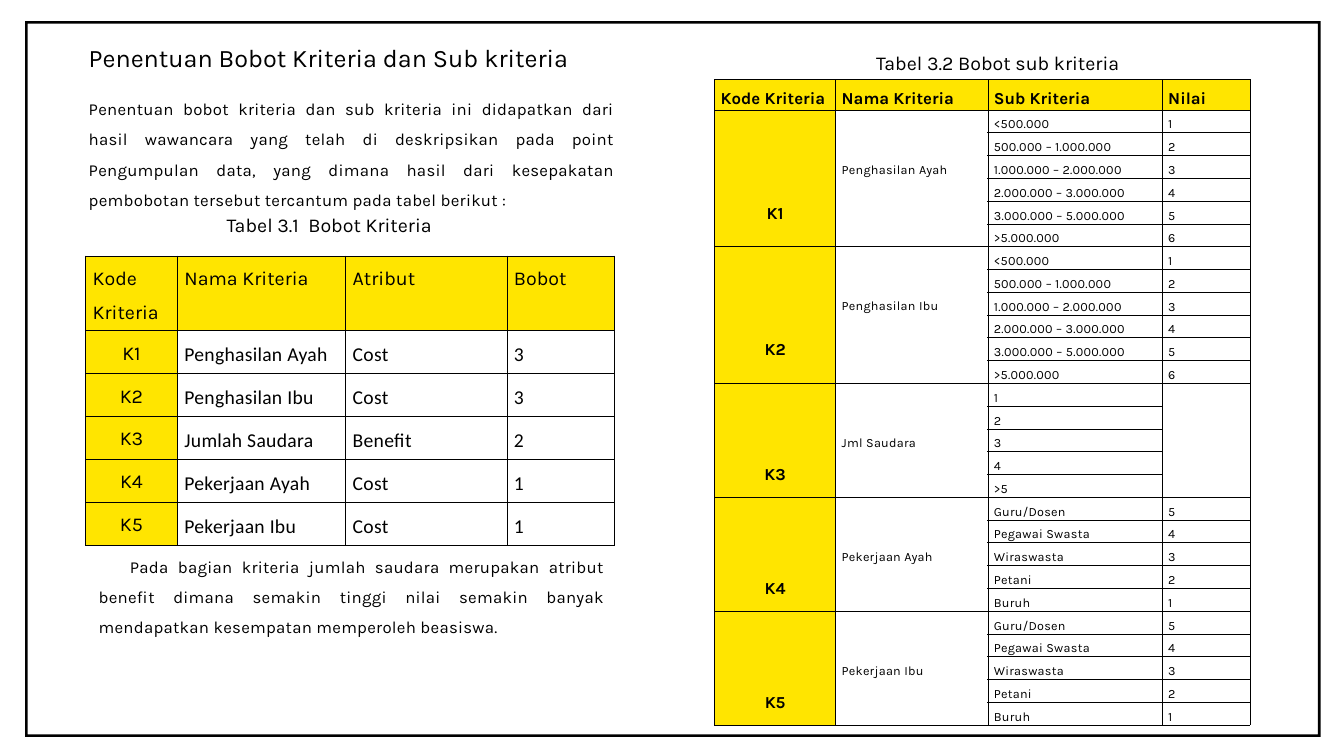
from dataclasses import dataclass

from lxml.etree import SubElement
from pptx import Presentation
from pptx.dml.color import RGBColor
from pptx.enum.shapes import MSO_SHAPE
from pptx.enum.text import MSO_ANCHOR as Anchor, MSO_AUTO_SIZE as Fit, PP_ALIGN as Align
from pptx.oxml.ns import qn
from pptx.util import Inches, Pt

WIDTH, HEIGHT = Inches(13.33), Inches(7.5)
COL, ROW = WIDTH / 80, HEIGHT / 45


@dataclass(frozen=True)
class Style:
    """Describe the look of one kind of run."""
    size: float
    font: str = "Karla"
    bold: bool = False
    track: int = 0


@dataclass(frozen=True)
class Theme:
    """Hold the colours and type of the slide."""
    ink: RGBColor = RGBColor(0, 0, 0)
    yellow: RGBColor = RGBColor(0xFF, 0xE5, 0x00)
    border: float = 0.5
    title: Style = Style(18)
    label: Style = Style(14)
    body: Style = Style(12, track=20)
    value: Style = Style(14, "Calibri", track=20)
    strong: Style = Style(12, bold=True)
    small: Style = Style(9, track=20)


THEME = Theme()

WEIGHTS = [
    ("K1", "Penghasilan Ayah", "Cost", "3"),
    ("K2", "Penghasilan Ibu", "Cost", "3"),
    ("K3", "Jumlah Saudara", "Benefit", "2"),
    ("K4", "Pekerjaan Ayah", "Cost", "1"),
    ("K5", "Pekerjaan Ibu", "Cost", "1"),
]
INCOMES = list(zip(
    ["<500.000", "500.000 – 1.000.000", "1.000.000 – 2.000.000",
     "2.000.000 – 3.000.000", "3.000.000 – 5.000.000", ">5.000.000"], "123456"))
SIBLINGS = [(count, "") for count in ("1", "2", "3", "4", ">5")]
JOBS = list(zip(["Guru/Dosen", "Pegawai Swasta", "Wiraswasta", "Petani", "Buruh"], "54321"))
GROUPS = [
    ("K1", "Penghasilan Ayah", INCOMES),
    ("K2", "Penghasilan Ibu", INCOMES),
    ("K3", "Jml Saudara", SIBLINGS),
    ("K4", "Pekerjaan Ayah", JOBS),
    ("K5", "Pekerjaan Ibu", JOBS),
]


def box(left, top, width, height):
    """Turn grid columns and rows into slide lengths."""
    return int(left * COL), int(top * ROW), int(width * COL), int(height * ROW)


def write(tf, text, style, align=Align.LEFT, spacing=None, after=None, indent=0):
    """Write one styled paragraph into a text frame."""
    p = tf.paragraphs[0]
    p.alignment = align
    if spacing:
        p.line_spacing = spacing
    if after:
        p.space_after = Pt(after)
    if indent:
        p._p.get_or_add_pPr().set("indent", str(int(indent * COL)))
    r = p.add_run()
    r.text = text
    font = r.font
    font.name, font.size, font.bold = style.font, Pt(style.size), style.bold
    font.color.rgb = THEME.ink
    if style.track:
        r._r.get_or_add_rPr().set("spc", str(style.track))


def add_title(s, at, text):
    """Place the slide title in its placeholder."""
    sp = s.shapes.title
    sp.left, sp.top, sp.width, sp.height = box(*at)
    tf = sp.text_frame
    tf.margin_left = tf.margin_right = tf.margin_top = tf.margin_bottom = 0
    tf.word_wrap, tf.auto_size, tf.vertical_anchor = True, Fit.NONE, Anchor.TOP
    write(tf, text, THEME.title)


def add_text(s, at, text, style, inset=True, wrap=True, anchor=Anchor.TOP, **layout):
    """Add a text box that grows with its text."""
    tf = s.shapes.add_textbox(*box(*at)).text_frame
    tf.word_wrap, tf.auto_size, tf.vertical_anchor = wrap, Fit.SHAPE_TO_FIT_TEXT, anchor
    if not inset:
        tf.margin_left = tf.margin_right = tf.margin_top = tf.margin_bottom = 0
    write(tf, text, style, **layout)


def add_frame(s, at, thickness):
    """Add the thin frame around the slide."""
    sp = s.shapes.add_shape(MSO_SHAPE.FRAME, *box(*at))
    sp.adjustments[0] = thickness / at[3]
    sp.shadow.inherit = False
    sp.fill.solid()
    sp.fill.fore_color.rgb = THEME.ink
    sp.line.fill.background()


def format_cell(cell, inset):
    """Give a cell its borders, insets and an empty fill."""
    cell.margin_left = cell.margin_right = int(inset * COL)
    cell.margin_top = cell.margin_bottom = 0
    tc_pr = cell._tc.get_or_add_tcPr()
    for side in ("a:lnL", "a:lnR", "a:lnT", "a:lnB"):
        ln = SubElement(tc_pr, qn(side), w=str(Pt(THEME.border)))
        fill = SubElement(ln, qn("a:solidFill"))
        SubElement(fill, qn("a:srgbClr"), val=str(THEME.ink))
    cell.fill.background()


def add_grid(s, left, top, cols, rows, inset):
    """Add a plain bordered table."""
    at = box(left, top, sum(cols), sum(rows))
    table = s.shapes.add_table(len(rows), len(cols), *at).table
    table.first_row = table.horz_banding = False
    for column, width in zip(table.columns, cols):
        column.width = int(width * COL)
    for row, height in zip(table.rows, rows):
        row.height = int(height * ROW)
    for cell in table.iter_cells():
        format_cell(cell, inset)
    return table


def fill_cell(cell, text, style, align=Align.JUSTIFY, marked=False, drop=0):
    """Write a cell, with an optional yellow fill and a drop from its top."""
    if marked:
        cell.fill.solid()
        cell.fill.fore_color.rgb = THEME.yellow
    cell.margin_top = int(drop * ROW)
    if text:
        write(cell.text_frame, text, style, align, spacing=1.5)


def fill_header(table, names, style):
    """Write the yellow heading row of a table."""
    for cell, name in zip(table.rows[0].cells, names):
        fill_cell(cell, name, style, marked=True)


def add_weights(s):
    """Add the table of criterion weights."""
    rows = [4.44] + [2.56] * len(WEIGHTS)
    table = add_grid(s, 5.1, 15.24, [5.46, 10.02, 9.6, 6.42], rows, 0.42)
    fill_header(table, ["Kode Kriteria", "Nama Kriteria", "Atribut", "Bobot"], THEME.label)
    for i, (code, *values) in enumerate(WEIGHTS, 1):
        fill_cell(table.cell(i, 0), code, THEME.label, Align.CENTER, marked=True)
        for j, value in enumerate(values, 1):
            fill_cell(table.cell(i, j), value, THEME.value)


def add_subcriteria(s):
    """Add the table of sub-criteria, merged by criterion."""
    count = sum(len(items) for _, _, items in GROUPS)
    rows = [1.8] + [1.35] * count
    table = add_grid(s, 42.54, 4.74, [7.2, 9.06, 10.38, 5.22], rows, 0.36)
    fill_header(table, ["Kode Kriteria", "Nama Kriteria", "Sub Kriteria", "Nilai"], THEME.strong)
    first = 1
    for code, name, items in GROUPS:
        last = first + len(items) - 1
        merged = (0, 1) if items is not SIBLINGS else (0, 1, 3)
        for j in merged:
            table.cell(first, j).merge(table.cell(last, j))
        head = table.cell(first, 0)
        head.vertical_anchor = Anchor.MIDDLE
        fill_cell(head, code, THEME.strong, Align.CENTER, marked=True, drop=3.6)
        fill_cell(table.cell(first, 1), name, THEME.small, drop=2.7)
        for i, (item, value) in enumerate(items, first):
            fill_cell(table.cell(i, 2), item, THEME.small)
            fill_cell(table.cell(i, 3), value, THEME.small)
        first = last + 1


def main():
    """Build and save the slide."""
    prs = Presentation()
    prs.slide_width, prs.slide_height = WIDTH, HEIGHT
    s = prs.slides.add_slide(prs.slide_layouts[5])
    add_title(s, (5.28, 2.52, 31.32, 2.4), "Penentuan Bobot Kriteria dan Sub kriteria")
    add_weights(s)
    add_text(s, (9.9, 12.36, 19.44, 2.04), "Tabel 3.1  Bobot Kriteria", THEME.label,
             anchor=Anchor.MIDDLE, indent=3)
    add_subcriteria(s)
    add_text(s, (51, 2.64, 16.8, 2.1), "Tabel 3.2 Bobot sub kriteria", THEME.label,
             wrap=False, align=Align.CENTER, spacing=1.07, after=8)
    add_text(s, (5.28, 32.22, 31.32, 6.06),
             "Pada bagian kriteria jumlah saudara merupakan atribut benefit dimana semakin "
             "tinggi nilai semakin banyak mendapatkan kesempatan memperoleh beasiswa.",
             THEME.body, align=Align.JUSTIFY, spacing=1.5, after=8, indent=1.86)
    add_text(s, (5.28, 5.28, 31.32, 7.26),
             "Penentuan bobot kriteria dan sub kriteria ini didapatkan dari hasil wawancara "
             "yang telah di deskripsikan pada point Pengumpulan data, yang dimana hasil dari "
             "kesepakatan pembobotan tersebut tercantum pada tabel berikut :",
             THEME.body, inset=False, align=Align.JUSTIFY, spacing=1.5)
    add_frame(s, (1.5, 1.26, 77.1, 42.6), 0.15)
    prs.save("out.pptx")


if __name__ == "__main__":
    main()
